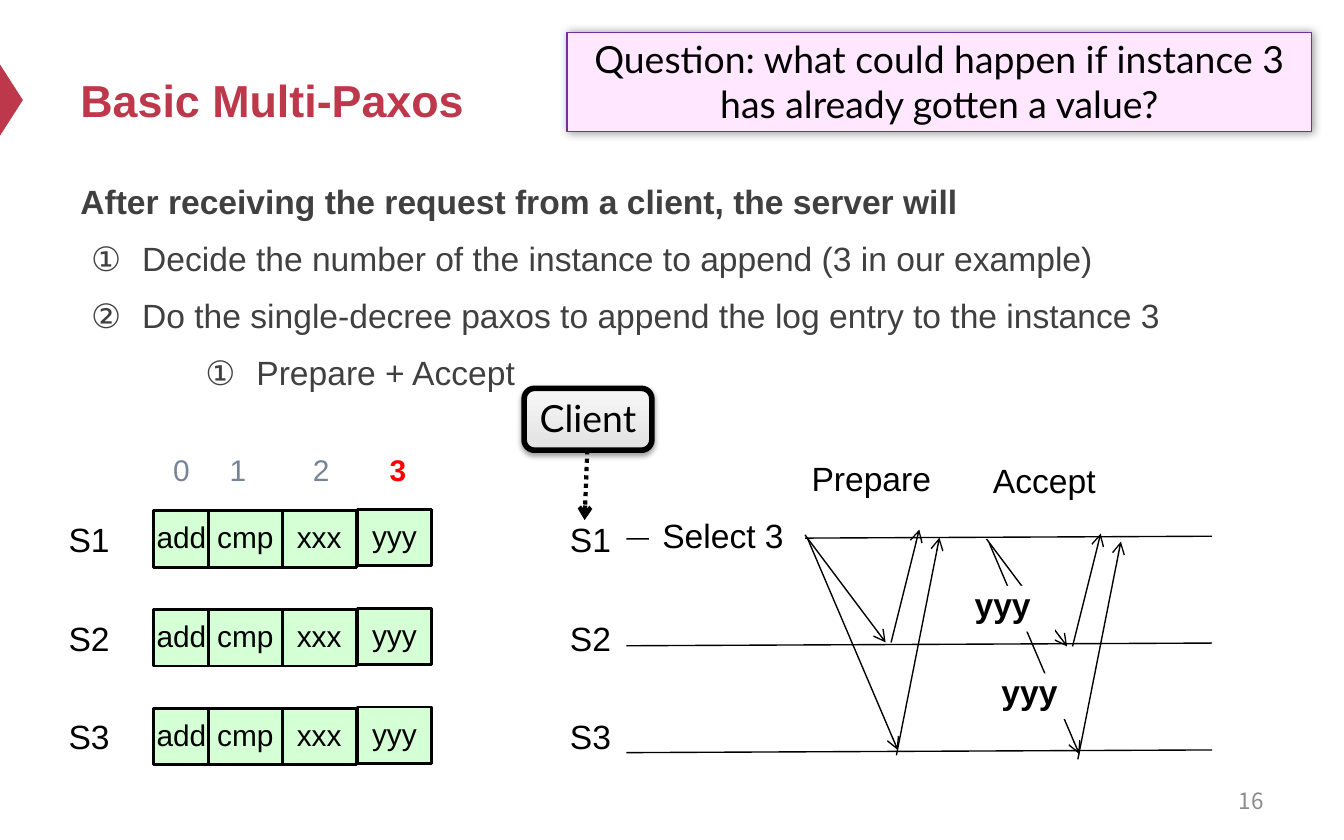
from lxml.etree import SubElement
from pptx import Presentation
from pptx.dml.color import RGBColor
from pptx.enum.dml import MSO_LINE
from pptx.enum.shapes import MSO_CONNECTOR, MSO_SHAPE
from pptx.enum.text import MSO_ANCHOR, PP_ALIGN
from pptx.oxml.ns import qn
from pptx.util import Inches, Pt

COLORS = {"accent": "BE384B", "body": "404040", "ink": "000000", "number": "8C8C8C",
          "index": "778495", "new": "FF0000", "cell": "D5FFD5", "white": "FFFFFF",
          "question": "FFE7FF", "purple": "7030A0", "dark": "E2E2E2", "light": "F7F7F7"}
WIDTH, HEIGHT = 10, 6.25
MARGIN = 0.5
DEFAULT_INSETS = (0.1, 0.05, 0.1, 0.05)
NO_INSETS = (0, 0, 0, 0)

TITLE = "Basic Multi-Paxos"
BODY = [
    (0, "After receiving the request from a client, the server will"),
    (1, "Decide the number of the instance to append (3 in our example)"),
    (1, "Do the single-decree paxos to append the log entry to the instance 3"),
    (2, "Prepare + Accept"),
]
LEVEL_MARGINS = {1: 0.46, 2: 1.31}
HANGING = 0.38
QUESTION = "Question: what could happen if instance 3 has already gotten a value?"
SERVERS = ["S1", "S2", "S3"]
LOG = [("add", 1.14, 0.42, 0), ("cmp", 1.55, 0.55, 0),
       ("xxx", 2.1, 0.55, 0), ("yyy", 2.66, 0.55, -0.01)]
INDEXES = [("0", 1.19), ("1", 1.61), ("2", 2.23), ("3", 2.8)]
LOG_TOP, ROW_PITCH, CELL_HEIGHT = 3.8, 0.735, 0.42
SERVER_COLUMNS = (0.51, 4.24)
LANE_LEFT, LANE_RIGHT, LANE_TOP, LANE_PITCH = 4.66, 9.02, 4.01, 0.795
PHASE_LABELS = [("Select 3", 4.83, 3.78), ("Prepare", 5.94, 3.36), ("Accept", 7.29, 3.37)]
ROUND_TRIP = [((6.01, 4.01), (6.68, 5.58)), ((5.99, 3.98), (6.59, 4.78)),
              ((6.63, 4.78), (6.84, 3.94)), ((6.67, 5.62), (6.99, 4))]
PHASE_SHIFTS = [(0, 0), (1.35, 0.03)]
VALUES = [("yyy", 7.27, 5.01), ("yyy", 7.07, 4.36)]

presentation = Presentation()
presentation.slide_width, presentation.slide_height = Inches(WIDTH), Inches(HEIGHT)
slide = presentation.slides.add_slide(presentation.slide_layouts[6])


def rgb(name):
    return RGBColor.from_string(COLORS[name])


def style_font(paragraph, size, color, bold=False, font="Arial"):
    for run in paragraph.runs:
        run.font.size, run.font.bold, run.font.name = Pt(size), bold, font
        run.font.color.rgb = rgb(color)
        for tag in ("a:ea", "a:cs"):
            SubElement(run.font._element, qn(tag), typeface=font)


def fill_text(shape, text, size, color="ink", bold=False, font="Arial", align=PP_ALIGN.LEFT,
              anchor=MSO_ANCHOR.TOP, insets=DEFAULT_INSETS, spacing=None, wrap=True):
    frame = shape.text_frame
    frame.text = text
    frame.word_wrap, frame.vertical_anchor = wrap, anchor
    (frame.margin_left, frame.margin_top,
     frame.margin_right, frame.margin_bottom) = map(Inches, insets)
    for paragraph in frame.paragraphs:
        paragraph.alignment = align
        if spacing:
            paragraph.line_spacing = spacing
        style_font(paragraph, size, color, bold, font)
    return shape


def add_text(text, left, top, width, height, size, **options):
    box = slide.shapes.add_textbox(*map(Inches, (left, top, width, height)))
    return fill_text(box, text, size, **options)


def add_box(left, top, width, height, fill, line=None, weight=1, kind=MSO_SHAPE.RECTANGLE):
    shape = slide.shapes.add_shape(kind, *map(Inches, (left, top, width, height)))
    shape.fill.solid()
    shape.fill.fore_color.rgb = rgb(fill)
    if line:
        shape.line.color.rgb, shape.line.width = rgb(line), Pt(weight)
    else:
        shape.line.fill.background()
    shape.shadow.inherit = False
    return shape


def add_shadow(shape, opacity, blur, distance=0, angle=0):
    effects = shape._element.spPr.find(qn("a:effectLst"))
    shadow = SubElement(effects, qn("a:outerShdw"), blurRad=str(Pt(blur)),
                        dist=str(Pt(distance)), dir=str(angle * 60000), rotWithShape="0")
    color = SubElement(shadow, qn("a:srgbClr"), val=COLORS["ink"])
    SubElement(color, qn("a:alpha"), val=str(opacity * 1000))


def add_line(start, end, weight=0.75, arrow=False, dash=None):
    line = slide.shapes.add_connector(MSO_CONNECTOR.STRAIGHT, *map(Inches, (*start, *end)))
    line.line.color.rgb, line.line.width = rgb("ink"), Pt(weight)
    if dash:
        line.line.dash_style = dash
    if arrow:
        SubElement(line.line._get_or_add_ln(), qn("a:tailEnd"), type="arrow")
    SubElement(line._element.spPr, qn("a:effectLst"))


def add_body():
    body = add_text("\n".join(text for _, text in BODY), MARGIN, 1.24,
                    WIDTH - 2 * MARGIN, 1.89, 18, color="body", spacing=1.2)
    for paragraph, (level, _) in zip(body.text_frame.paragraphs, BODY):
        if level:
            paragraph.level = level
            paragraph.space_before = Pt(4.5)
            properties = paragraph._p.get_or_add_pPr()
            properties.set("marL", str(Inches(LEVEL_MARGINS[level])))
            properties.set("indent", str(-Inches(HANGING)))
            SubElement(properties, qn("a:buFont"), typeface="+mj-ea")
            SubElement(properties, qn("a:buAutoNum"), type="circleNumDbPlain")
        else:
            paragraph.runs[0].font.bold = True


def add_log():
    for row, server in enumerate(SERVERS):
        top = LOG_TOP + row * ROW_PITCH
        for text, left, width, shift in LOG:
            cell = add_box(left, top + shift, width, CELL_HEIGHT, "cell", "ink", 1.5)
            fill_text(cell, text, 16, align=PP_ALIGN.CENTER, anchor=MSO_ANCHOR.MIDDLE,
                      insets=NO_INSETS, spacing=Pt(17))
        for left in SERVER_COLUMNS:
            add_text(server, left, top + 0.06, 0.42, 0.3, 18, insets=NO_INSETS)
    for text, left in INDEXES:
        newest = text == INDEXES[-1][0]
        add_text(text, left, 3.31, 0.42, 0.37, 16,
                 color="new" if newest else "index", bold=newest)


def add_client():
    client = add_box(3.9, 2.89, 0.95, 0.46, "light", "ink", 3, MSO_SHAPE.ROUNDED_RECTANGLE)
    client.fill.gradient()
    client.fill.gradient_angle = 90
    for stop, color in zip(client.fill.gradient_stops, ("dark", "light")):
        stop.color.rgb = rgb(color)
    client.fill.gradient_stops[0].position = 0
    client.fill.gradient_stops[1].position = 1
    add_shadow(client, 38, 3.1, 1.6, 90)
    fill_text(client, "Client", 20, font="Lato", align=PP_ALIGN.CENTER,
              anchor=MSO_ANCHOR.MIDDLE, insets=(0.08, 0.03, 0.08, 0), spacing=0.8, wrap=False)
    add_line((4.37, 3.35), (4.35, 3.87), 2.25, arrow=True, dash=MSO_LINE.ROUND_DOT)


def add_exchange():
    for lane in range(len(SERVERS)):
        level = LANE_TOP + lane * LANE_PITCH
        add_line((LANE_LEFT, level), (LANE_RIGHT, level - 0.02))
    for text, left, top in PHASE_LABELS:
        fill_text(add_box(left, top, 1.16, 0.4, "white"), text, 18)
    for across, down in PHASE_SHIFTS:
        for start, end in ROUND_TRIP:
            add_line(*((x + across, y + down) for x, y in (start, end)), arrow=True)
    for text, left, top in VALUES:
        fill_text(add_box(left, top, 0.78, 0.34, "white"), text, 18, bold=True,
                  align=PP_ALIGN.CENTER, spacing=Pt(17))


marker = add_box(-0.18, 0.66, 0.53, 0.17, "accent", kind=MSO_SHAPE.ISOSCELES_TRIANGLE)
marker.rotation = 90
add_text(TITLE, MARGIN, 0.25, WIDTH - 2 * MARGIN, 0.98, 24, color="accent", bold=True,
         anchor=MSO_ANCHOR.MIDDLE)
add_body()
add_text("16", 7.17, 5.79, 2.33, 0.33, 12, color="number", font="Noto Sans CJK SC",
         align=PP_ALIGN.RIGHT, anchor=MSO_ANCHOR.MIDDLE)
question = add_box(4.22, 0.24, 5.54, 0.74, "question", "purple", 0.75)
add_shadow(question, 40, 5)
fill_text(question, QUESTION, 20, font="Lato", align=PP_ALIGN.CENTER,
          insets=(0.1, 0.03, 0.1, 0.03))
add_log()
add_client()
add_exchange()
presentation.save("out.pptx")
